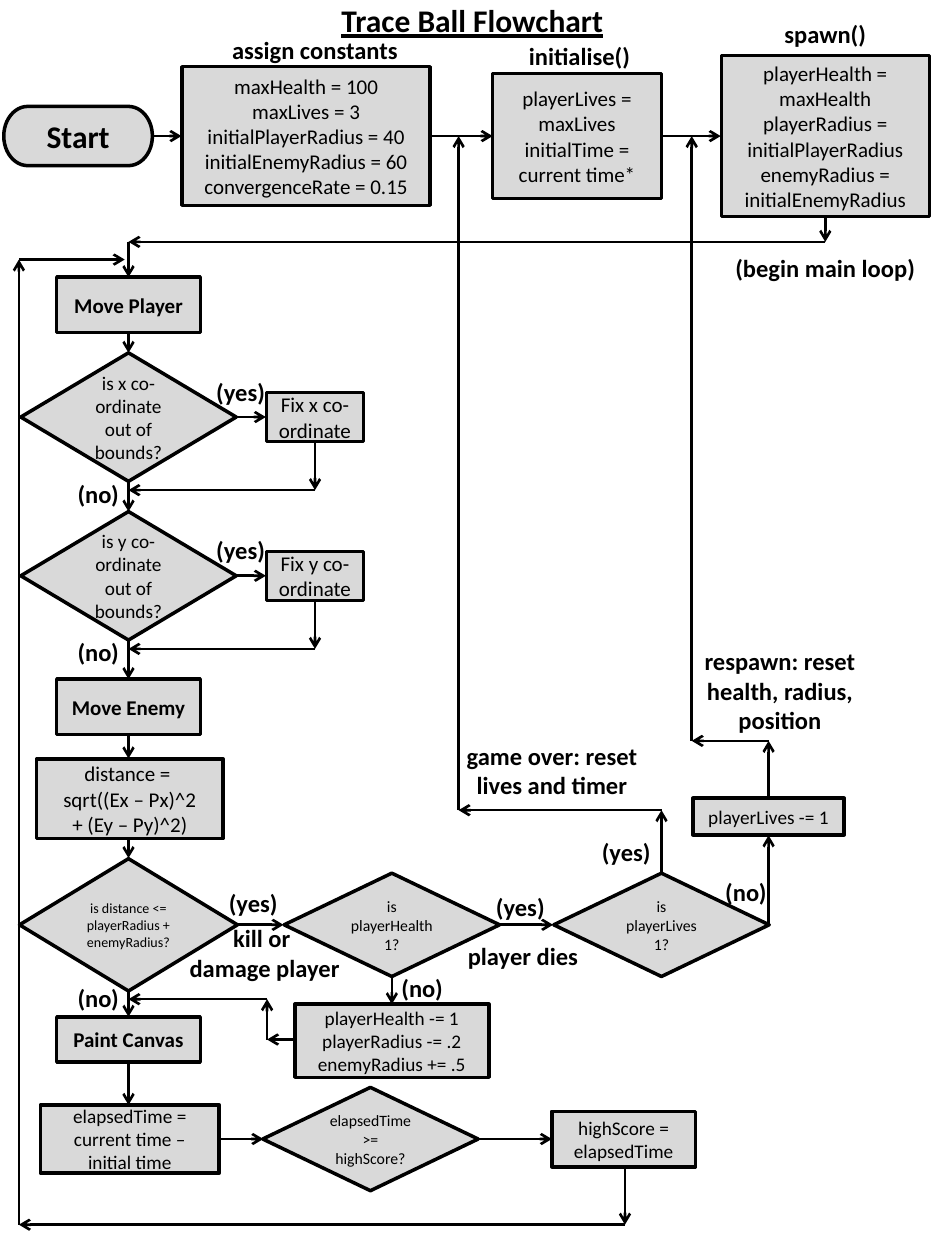
from lxml import etree
from pptx import Presentation
from pptx.dml.color import RGBColor
from pptx.enum.shapes import MSO_CONNECTOR as Connector, MSO_SHAPE as Shape
from pptx.enum.text import MSO_ANCHOR as Anchor, PP_ALIGN as Align
from pptx.oxml.ns import qn
from pptx.util import Inches, Pt

INK, PANEL = "000000", "D9D9D9"
MAIN, TOP_ROW, CHECK_ROW, SCORE_ROW = 1.02, 1.08, 7.34, 9.04
FIX, RESTART, RESPAWN, LIVES, DEATH = 2.5, 3.64, 5.49, 5.25, 6.1
LOOP, LOOP_END, CHECK_PITCH = 0.15, 9.72, 1.26
START, PROCESS, DECISION = (Shape.FLOWCHART_TERMINATOR, Shape.FLOWCHART_PROCESS,
                            Shape.FLOWCHART_DECISION)
BOLD, PLAIN = True, False

# kind, centre x, centre y, width, height, size, bold, paragraphs
steps = [
    (START, 0.62, TOP_ROW, 1.18, 0.47, 18, BOLD, ["Start"]),
    (PROCESS, 2.43, TOP_ROW, 1.97, 1.1, 12, PLAIN,
     ["maxHealth = 100", "maxLives = 3", "initialPlayerRadius = 40",
      "initialEnemyRadius = 60", "convergenceRate = 0.15"]),
    (PROCESS, 4.58, TOP_ROW, 1.34, 0.99, 12, PLAIN,
     ["playerLives = maxLives", "initialTime = current time*"]),
    (PROCESS, 6.55, TOP_ROW, 1.65, 1.28, 12, PLAIN,
     ["playerHealth = maxHealth", "playerRadius = initialPlayerRadius",
      "enemyRadius = initialEnemyRadius"]),
    (PROCESS, MAIN, 2.42, 1.14, 0.44, 12, BOLD, ["Move Player"]),
    (PROCESS, MAIN, 5.61, 1.14, 0.44, 12, BOLD, ["Move Enemy"]),
    (PROCESS, 1.03, 6.34, 1.48, 0.63, 12, PLAIN,
     ["distance = ", "sqrt((Ex – Px)^2", "+ (Ey – Py)^2)"]),
    (DECISION, MAIN, CHECK_ROW, 1.73, 1.05, 8, PLAIN,
     ["is distance <= playerRadius + enemyRadius?"]),
    (DECISION, 3.11, CHECK_ROW, 1.71, 0.82, 9, PLAIN, ["is playerHealth 1?"]),
    (DECISION, LIVES, CHECK_ROW, 1.71, 0.82, 9, PLAIN, ["is playerLives 1?"]),
    (PROCESS, DEATH, 6.48, 1.2, 0.29, 11, PLAIN, ["playerLives -= 1"]),
    (PROCESS, 3.11, 8.26, 1.54, 0.58, 11, PLAIN,
     ["playerHealth -= 1", "playerRadius -= .2", "enemyRadius += .5"]),
    (PROCESS, MAIN, 8.25, 1.14, 0.36, 12, BOLD, ["Paint Canvas"]),
    (PROCESS, 1.03, SCORE_ROW, 1.42, 0.54, 11, PLAIN,
     ["elapsedTime = current time – initial time"]),
    (DECISION, 2.94, SCORE_ROW, 1.71, 0.82, 9, PLAIN, ["elapsedTime >= highScore?"]),
    (PROCESS, 4.95, SCORE_ROW, 1.14, 0.44, 11, PLAIN, ["highScore = elapsedTime"]),
]

# centre x, top, width, height, size, paragraphs
labels = [
    (3.75, -0.04, 7.5, 0.4, 18, ["Trace Ball Flowchart"]),
    (2.5, 0.23, 1.76, 0.34, 14, ["assign constants"]),
    (4.6, 0.28, 1.07, 0.34, 14, ["initialise()"]),
    (6.55, 0.1, 1.07, 0.34, 14, ["spawn()"]),
    (6.55, 1.96, 1.87, 0.34, 14, ["(begin main loop)"]),
    (2.01, 7, 1.07, 0.34, 14, ["(yes)"]),
    (4.13, 7.03, 1.07, 0.34, 14, ["(yes)"]),
    (4.97, 6.59, 1.07, 0.34, 14, ["(yes)"]),
    (0.78, 7.75, 1.07, 0.34, 14, ["(no)"]),
    (3.35, 7.67, 1.07, 0.34, 14, ["(no)"]),
    (5.92, 6.91, 1.07, 0.34, 14, ["(no)"]),
    (2.1, 7.28, 1.42, 0.57, 14, ["kill or ", "damage player"]),
    (4.15, 7.42, 1.42, 0.34, 14, ["player dies"]),
    (4.38, 5.83, 1.59, 0.57, 14, ["game over: reset lives and timer"]),
    (6.19, 5.08, 1.61, 1.04, 14, ["respawn: reset health, radius, position"]),
]

# corner points, with an arrowhead at the end of every leg
routes = [
    [(1.21, TOP_ROW), (1.44, TOP_ROW)],
    [(3.41, TOP_ROW), (3.91, TOP_ROW)],
    [(5.25, TOP_ROW), (5.72, TOP_ROW)],
    [(6.55, 1.72), (6.55, 1.92), (MAIN, 1.92), (MAIN, 2.2)],
    [(MAIN, 2.64), (MAIN, 2.8)],
    [(MAIN, 5.83), (MAIN, 6.02)],
    [(MAIN, 6.65), (MAIN, 6.81)],
    [(MAIN, 7.86), (MAIN, 8.07)],
    [(MAIN, 8.43), (MAIN, 8.77)],
    [(1.89, CHECK_ROW), (2.25, CHECK_ROW)],
    [(3.96, CHECK_ROW), (4.39, CHECK_ROW)],
    [(3.11, 7.75), (3.11, 7.97)],
    [(2.34, 8.25), (2.12, 8.25), (2.12, 7.93), (MAIN, 7.93)],
    [(LIVES, 6.92), (LIVES, 6.43), (RESTART, 6.43), (RESTART, TOP_ROW)],
    [(DEATH, CHECK_ROW), (DEATH, 6.63)],
    [(DEATH, 6.34), (DEATH, 5.88), (RESPAWN, 5.88), (RESPAWN, TOP_ROW)],
    [(1.73, SCORE_ROW), (2.09, SCORE_ROW)],
    [(3.8, SCORE_ROW), (4.38, SCORE_ROW)],
    [(4.96, 9.26), (4.96, LOOP_END), (LOOP, LOOP_END), (LOOP, 2.06), (0.99, 2.06)],
]

for index, axis in enumerate("xy"):
    row = 3.31 + index * CHECK_PITCH
    steps += [
        (DECISION, MAIN, row, 1.71, 1.02, 11, PLAIN,
         [f"is {axis} co-ordinate out of bounds?"]),
        (PROCESS, FIX, row, 0.77, 0.39, 12, PLAIN, [f"Fix {axis} co-ordinate"]),
    ]
    labels += [(1.91, row - 0.37, 1.07, 0.34, 14, ["(yes)"]),
               (0.78, row + 0.44, 1.07, 0.34, 14, ["(no)"])]
    routes += [[(1.88, row), (2.11, row)],
               [(FIX, row + 0.2), (FIX, row + 0.58), (MAIN, row + 0.58)]]
routes += [[(MAIN, 3.81), (MAIN, 4.06)], [(MAIN, 5.08), (MAIN, 5.39)]]


def color(value):
    """Turn a hex string into a colour."""
    return RGBColor.from_string(value)


def write(frame, paragraphs, size, bold, anchor, underline=False):
    """Fill a text frame with centred paragraphs."""
    frame.word_wrap, frame.vertical_anchor = True, anchor
    style = {"name": "Calibri", "size": Pt(size), "bold": bold, "underline": underline}
    for number, words in enumerate(paragraphs):
        paragraph = frame.add_paragraph() if number else frame.paragraphs[0]
        paragraph.alignment = Align.CENTER
        run = paragraph.add_run()
        run.text = words
        for key, value in style.items():
            setattr(run.font, key, value)
        run.font.color.rgb = color(INK)


def ink(line, width):
    """Colour a line and set its width."""
    line.color.rgb, line.width = color(INK), Pt(width)


def frame_box(x, top, width, height):
    """Give left, top, width and height for a part centred on x."""
    return [Inches(n) for n in (x - width / 2, top, width, height)]


deck = Presentation()
deck.slide_width, deck.slide_height = Inches(7.5), Inches(10)
shapes = deck.slides.add_slide(deck.slide_layouts[6]).shapes

for kind, x, y, width, height, size, bold, paragraphs in steps:
    step = shapes.add_shape(kind, *frame_box(x, y - height / 2, width, height))
    step.shadow.inherit = False
    step.fill.solid()
    step.fill.fore_color.rgb = color(PANEL)
    ink(step.line, 2)
    write(step.text_frame, paragraphs, size, bold, Anchor.MIDDLE)

for route in routes:
    for begin, end in zip(route, route[1:]):
        arrow = shapes.add_connector(Connector.STRAIGHT, *map(Inches, begin + end))
        ink(arrow.line, 1.5)
        etree.SubElement(arrow.line._get_or_add_ln(), qn("a:tailEnd"), type="arrow")
        etree.SubElement(arrow._element.spPr, qn("a:effectLst"))

for x, top, width, height, size, paragraphs in labels:
    label = shapes.add_textbox(*frame_box(x, top, width, height))
    write(label.text_frame, paragraphs, size, BOLD, Anchor.TOP, underline=size == 18)

deck.save("out.pptx")
